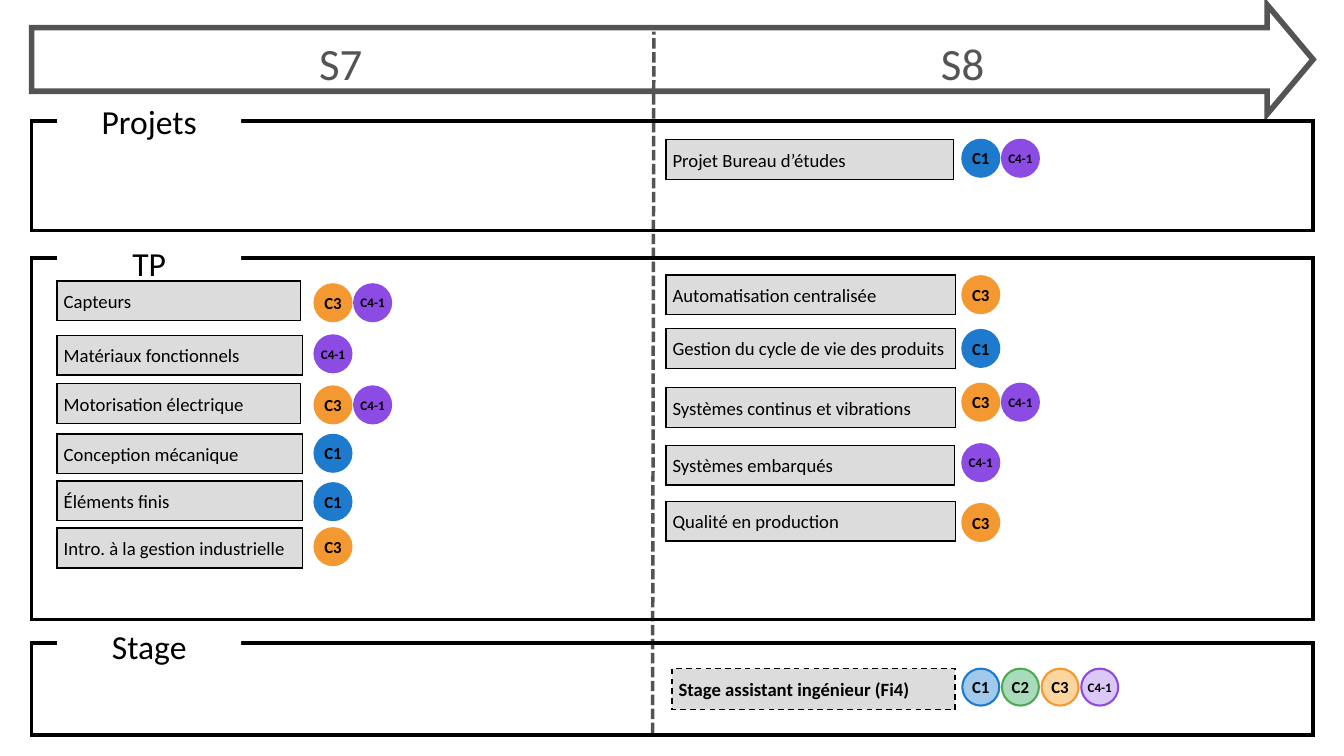
from collections import namedtuple
from lxml.etree import SubElement
from pptx import Presentation
from pptx.dml.color import RGBColor
from pptx.enum.dml import MSO_LINE
from pptx.enum.shapes import MSO_CONNECTOR, MSO_SHAPE
from pptx.enum.text import MSO_ANCHOR, PP_ALIGN
from pptx.oxml.ns import qn
from pptx.util import Inches, Pt

WIDTH, HEIGHT = Inches(20), Inches(11.25)
COLUMNS = 200
CELL = WIDTH // COLUMNS

FONT = "Calibri"
BLACK = RGBColor(0x00, 0x00, 0x00)
WHITE = RGBColor(0xFF, 0xFF, 0xFF)
DARK = RGBColor(0x54, 0x54, 0x54)
GREY = RGBColor(0xDD, 0xDC, 0xDC)
BLUE = RGBColor(0x1E, 0x7A, 0xCC)
GREEN = RGBColor(0x4F, 0xA9, 0x54)
ORANGE = RGBColor(0xF4, 0x98, 0x31)
PURPLE = RGBColor(0x8C, 0x4B, 0xE2)
PALE_BLUE = RGBColor(0xA0, 0xC9, 0xEB)
PALE_GREEN = RGBColor(0xA8, 0xDB, 0xBA)
PALE_ORANGE = RGBColor(0xFB, 0xD4, 0x9E)

SKILLS = {
    "C1": (BLUE, PALE_BLUE, 18),
    "C2": (GREEN, PALE_GREEN, 18),
    "C3": (ORANGE, PALE_ORANGE, 18),
    "C4-1": (PURPLE, None, 14),
}
PALE_ALPHA = 30

Box = namedtuple("Box", "left top width height")
Course = namedtuple("Course", "name top width skills skill_shift")

ARROW = Box(4.7, 0.7, 190.7, 16.3)
SEMESTERS = {
    "S7": Box(5, 4.6, 91.4, 8.3),
    "S8": Box(98.1, 4.6, 90.3, 8.3),
}
PROJECTS = Box(4.7, 18, 190.7, 16.3)
LABS = Box(4.7, 38.4, 190.7, 53.8)
INTERNSHIP = Box(4.7, 95.7, 190.7, 13.7)
S7_COLUMN, S7_SKILLS = 3.8, 42.1
S8_COLUMN, S8_SKILLS = 94.4, 138.5
COURSE_HEIGHT = 5.9
CHIP_SIZE, CHIP_PITCH = 5.5, 5.9

PROJECT_COURSES = [Course("Projet Bureau d’études", 2.8, 42.8, ["C1", "C4-1"], 0)]
S7_COURSES = [
    Course("Capteurs", 3.4, 36.2, ["C3", "C4-1"], 0.5),
    Course("Matériaux fonctionnels", 11.5, 36.5, ["C4-1"], 0),
    Course("Motorisation électrique", 18.7, 36.2, ["C3", "C4-1"], 0.4),
    Course("Conception mécanique", 26.2, 36.5, ["C1"], 0.1),
    Course("Éléments finis", 33.2, 36.5, ["C1"], 0.3),
    Course("Intro. à la gestion industrielle", 40.2, 36.5, ["C3"], 0),
]
S8_COURSES = [
    Course("Automatisation centralisée", 2.5, 43.1, ["C3"], 0.2),
    Course("Gestion du cycle de vie des produits", 10.5, 43.1, ["C1"], 0.2),
    Course("Systèmes continus et vibrations", 19.3, 43.1, ["C3", "C4-1"], -0.6),
    Course("Systèmes embarqués", 27.9, 42.9, ["C4-1"], -0.2),
    Course("Qualité en production", 36.2, 43.1, ["C3"], 0.4),
]
INTERNSHIP_COURSES = [
    Course("Stage assistant ingénieur (Fi4)", 3.8, 42.1, list(SKILLS), 0)
]


def emu(*lengths):
    return [round(length * CELL) for length in lengths]


def add_text(shape, text, size, color=BLACK, bold=False, align=PP_ALIGN.LEFT):
    para = shape.text_frame.paragraphs[0]
    para.alignment = align
    span = para.add_run()
    span.text = text
    span.font.name = FONT
    span.font.size = Pt(size)
    span.font.bold = bold
    span.font.color.rgb = color
    return para


def clear_insets(frame):
    frame.margin_left = frame.margin_right = 0
    frame.margin_top = frame.margin_bottom = 0


def add_figure(page, kind, box, fill=None, line=None, weight=0, dash=None):
    shape = page.shapes.add_shape(kind, *emu(*box))
    shape.shadow.inherit = False
    if fill is None:
        shape.fill.background()
    else:
        shape.fill.solid()
        shape.fill.fore_color.rgb = fill
    if line is None:
        shape.line.fill.background()
        return shape
    shape.line.color.rgb = line
    shape.line.width = Pt(weight)
    if dash is not None:
        shape.line.dash_style = dash
    outline = shape.element.spPr.find(qn("a:ln"))
    SubElement(outline, qn("a:miter"), lim="800000")
    return shape


def add_timeline(page, box):
    arrow = add_figure(page, MSO_SHAPE.RIGHT_ARROW, box, line=DARK, weight=6)
    arrow.adjustments[0] = 0.58
    arrow.adjustments[1] = 0.42
    divider = page.shapes.add_connector(
        MSO_CONNECTOR.STRAIGHT, *emu(97.1, 109.1, 97.3, box.top + 4)
    )
    divider.line.color.rgb = DARK
    divider.line.width = Pt(3.75)
    divider.line.dash_style = MSO_LINE.SQUARE_DOT
    SubElement(divider.element.spPr, qn("a:effectLst"))
    for name, place in SEMESTERS.items():
        heading = page.shapes.add_textbox(*emu(*place))
        heading.text_frame.word_wrap = True
        clear_insets(heading.text_frame)
        para = add_text(heading, name, 48, DARK, align=PP_ALIGN.CENTER)
        para.line_spacing = Pt(62.4)


def add_panel(page, box, title, rise, anchor):
    add_figure(page, MSO_SHAPE.RECTANGLE, box, line=BLACK, weight=3.75)
    place = Box(box.left + 3.8, box.top - rise, 27.4, 6.1)
    label = add_figure(page, MSO_SHAPE.RECTANGLE, place, fill=WHITE)
    label.text_frame.vertical_anchor = anchor
    add_text(label, title, 36, align=PP_ALIGN.CENTER)


def add_chip(page, skill, left, top, pale):
    color, pale_color, size = SKILLS[skill]
    fill = pale_color if pale and pale_color else color
    place = Box(left, top, CHIP_SIZE, CHIP_SIZE)
    chip = add_figure(page, MSO_SHAPE.OVAL, place, fill, color, 2.25)
    if pale and pale_color is None:
        tint = chip.element.spPr.find(qn("a:solidFill"))[0]
        SubElement(tint, qn("a:alpha"), val=str(PALE_ALPHA * 1000))
    clear_insets(chip.text_frame)
    add_text(chip, skill, size, bold=True, align=PP_ALIGN.CENTER)


def add_courses(page, box, courses, column, skill_column, optional=False):
    dash = MSO_LINE.DASH if optional else None
    height = 6.1 if optional else COURSE_HEIGHT
    for course in courses:
        top = box.top + course.top
        place = Box(box.left + column, top, course.width, height)
        card = add_figure(page, MSO_SHAPE.RECTANGLE, place, GREY, BLACK, 1.5, dash)
        add_text(card, course.name, 20, bold=optional)
        for index, skill in enumerate(course.skills):
            left = box.left + skill_column + index * CHIP_PITCH
            add_chip(page, skill, left, top + course.skill_shift, optional)


def main():
    deck = Presentation()
    deck.slide_width, deck.slide_height = WIDTH, HEIGHT
    page = deck.slides.add_slide(deck.slide_layouts[6])
    add_timeline(page, ARROW)
    add_panel(page, PROJECTS, "Projets", 3, MSO_ANCHOR.MIDDLE)
    add_panel(page, LABS, "TP", 2.7, MSO_ANCHOR.TOP)
    add_panel(page, INTERNSHIP, "Stage", 3.1, MSO_ANCHOR.TOP)
    add_courses(page, PROJECTS, PROJECT_COURSES, S8_COLUMN, S8_SKILLS)
    add_courses(page, LABS, S7_COURSES, S7_COLUMN, S7_SKILLS)
    add_courses(page, LABS, S8_COURSES, S8_COLUMN, S8_SKILLS)
    add_courses(page, INTERNSHIP, INTERNSHIP_COURSES, 95.3, S8_SKILLS, optional=True)
    deck.save("out.pptx")


if __name__ == "__main__":
    main()
